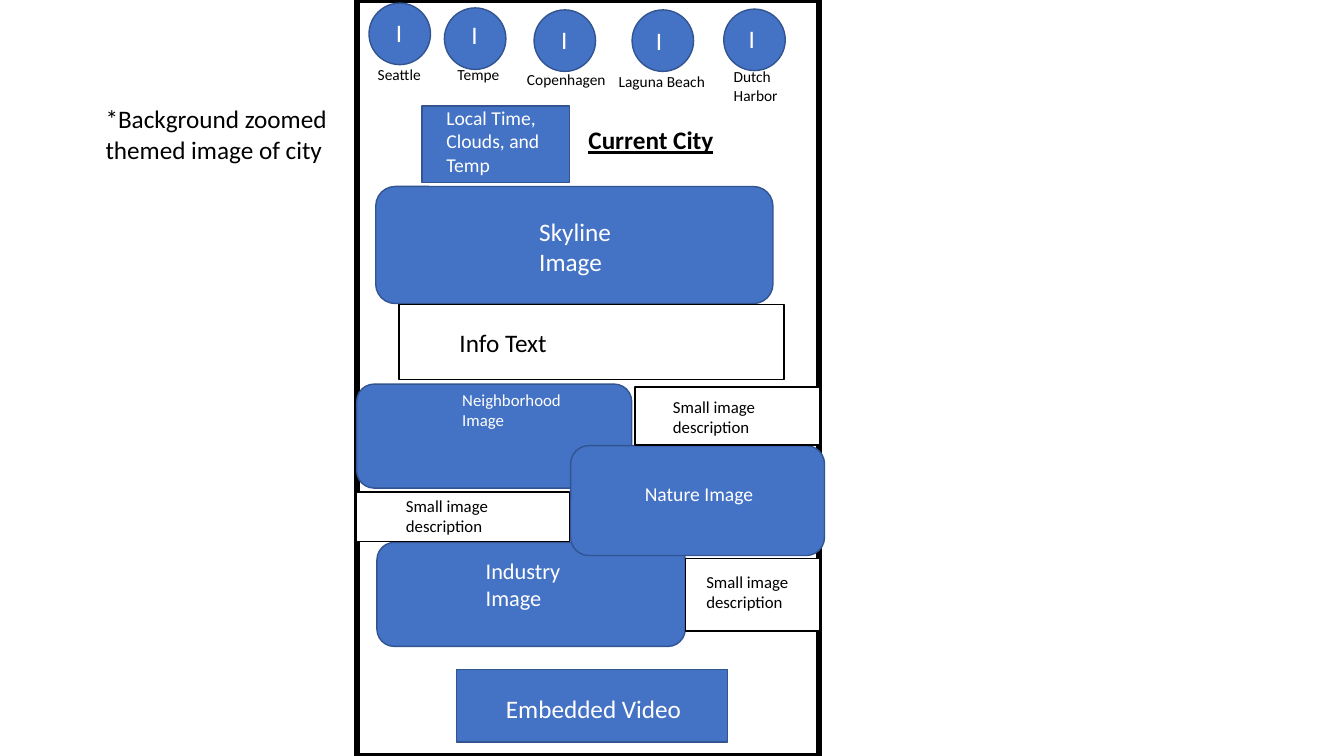
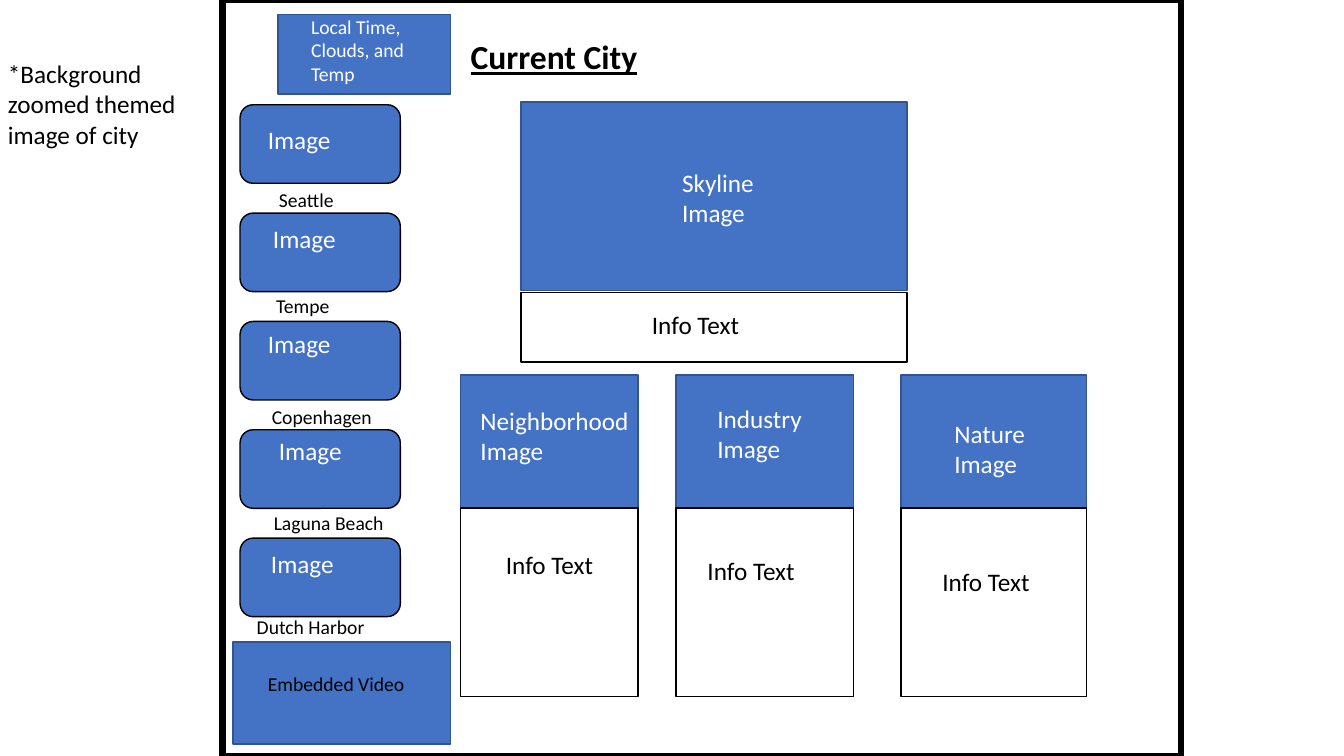
from pptx import Presentation
from pptx.dml.color import RGBColor
from pptx.enum.shapes import MSO_SHAPE
from pptx.enum.text import MSO_AUTO_SIZE
from pptx.util import Cm, Pt

RECT = MSO_SHAPE.RECTANGLE
ROUNDED = MSO_SHAPE.ROUNDED_RECTANGLE
CIRCLE = MSO_SHAPE.OVAL
GROW = MSO_AUTO_SIZE.SHAPE_TO_FIT_TEXT
BLANK_LAYOUT = 6
PAGE_WIDTH, PAGE_HEIGHT = 33.87, 19.05


def color(value):
    return RGBColor.from_string(value)


class Wireframe:
    FONT = "Calibri"
    BLUE, EDGE = "4472C4", "325491"
    BLACK, WHITE = "000000", "FFFFFF"

    def __init__(self):
        self.deck = Presentation()
        self.deck.slide_width = Cm(PAGE_WIDTH)
        self.deck.slide_height = Cm(PAGE_HEIGHT)
        self.page = None

    def add_page(self, frame_left, frame_width):
        self.page = self.deck.slides.add_slide(self.deck.slide_layouts[BLANK_LAYOUT])
        self.shape(RECT, (frame_left, 0, frame_width, PAGE_HEIGHT), self.WHITE, self.BLACK, 4.5)

    def shape(self, kind, place, fill, line, weight=1):
        box = self.page.shapes.add_shape(kind, *map(Cm, place))
        box.shadow.inherit = False
        box.fill.solid()
        box.fill.fore_color.rgb = color(fill)
        box.line.color.rgb = color(line)
        box.line.width = Pt(weight)

    def image(self, place, kind=RECT, line=EDGE):
        self.shape(kind, place, self.BLUE, line)

    def panel(self, place):
        self.shape(RECT, place, self.WHITE, self.BLACK)

    def label(self, text, place, size=18, ink=BLACK, heading=False):
        box = self.page.shapes.add_textbox(*map(Cm, place))
        frame = box.text_frame
        frame.word_wrap = True
        frame.auto_size = GROW
        frame.text = text
        for span in frame.paragraphs[0].runs:
            span.font.name = self.FONT
            span.font.size = Pt(size)
            span.font.color.rgb = color(ink)
            if heading:
                span.font.bold = True
                span.font.underline = True

    def caption(self, text, place, size=18):
        self.label(text, place, size, self.WHITE)

    def header(self, title_place, title_size, note_place, clock_place, clock_text_place):
        self.label("Current City", title_place, title_size, heading=True)
        self.label("*Background zoomed themed image of city", note_place)
        self.image(clock_place)
        self.caption("Local Time, Clouds, and Temp", clock_text_place, 14)


def build_phone(sketch):
    sketch.add_page(8.99, 11.66)
    sketch.header((14.58, 3.02, 4.5, 1.02), 18, (2.41, 2.49, 6.25, 1.8),
                  (10.64, 2.67, 3.71, 1.93), (11, 2.54, 3.15, 2.06))

    diameter = 1.55
    cities = [
        ("Seattle", (9.3, 0.08), (9.73, 0.3), (9.27, 1.52, 1.73, 0.74)),
        ("Tempe", (11.2, 0.2), (11.63, 0.36), (11.28, 1.52, 2.11, 0.74)),
        ("Copenhagen", (13.46, 0.25), (13.89, 0.48), (13.03, 1.63, 2.74, 0.74)),
        ("Laguna Beach", (15.93, 0.25), (16.28, 0.51), (15.34, 1.7, 2.82, 0.74)),
        ("Dutch Harbor", (18.24, 0.23), (18.62, 0.46), (18.24, 1.57, 2.11, 1.19)),
    ]
    for city, corner, icon_corner, name_place in cities:
        sketch.image((*corner, diameter, diameter), CIRCLE)
        sketch.caption("I", (*icon_corner, 1.75, 1.02))
        sketch.label(city, name_place, 11)

    pictures = [
        ("Skyline Image", (9.47, 4.7, 10.01, 2.95), (13.34, 5.33, 2.46, 1.8), 18, ROUNDED),
        ("Industry Image", (9.5, 13.67, 7.77, 2.62), (11.99, 13.92, 3.4, 1.63), 16, ROUNDED),
        ("Neighborhood Image", (8.99, 9.68, 6.93, 2.62), (11.4, 9.7, 3.18, 1.27), 12, ROUNDED),
        ("Embedded Video", (11.51, 16.87, 6.83, 1.83), (12.5, 17.35, 5.18, 1.02), 18, RECT),
        ("Nature Image", (14.38, 11.23, 6.4, 2.77), (16, 12.01, 3.63, 0.86), 14, ROUNDED),
    ]
    for text, place, text_place, size, kind in pictures:
        sketch.image(place, kind)
        sketch.caption(text, text_place, size)

    sketch.panel((10.06, 7.67, 9.7, 1.9))
    sketch.label("Info Text", (11.33, 8.13, 8.46, 1.02))

    descriptions = [
        ((8.99, 12.4, 5.36, 1.24), (9.98, 12.37)),
        ((16, 9.75, 4.65, 1.47), (16.71, 9.88)),
        ((17.27, 14.07, 3.38, 1.83), (17.55, 14.27)),
    ]
    for place, text_corner in descriptions:
        sketch.panel(place)
        sketch.label("Small image description", (*text_corner, 3.02, 1.27), 12)


def build_desktop(sketch):
    sketch.add_page(5.61, 24.16)
    sketch.header((11.61, 0.79, 4.88, 1.27), 24, (-0.05, 1.35, 5.21, 2.57),
                  (7.01, 0.36, 4.34, 2.01), (7.59, 0.25, 3.15, 2.06))

    first_top, pitch = 2.64, 2.73
    cities = [
        ("Seattle", (6.5, 3), (6.78, 4.6, 3.15)),
        ("Tempe", (6.63, 5.51), (6.71, 7.29, 3.15)),
        ("Copenhagen", (6.5, 8.15), (6.6, 10.08, 3.15)),
        ("Laguna Beach", (6.78, 10.85), (6.65, 12.75, 4.22)),
        ("Dutch Harbor", (6.58, 13.69), (6.22, 15.37, 3.81)),
    ]
    for row, (city, image_corner, name_place) in enumerate(cities):
        sketch.image((6.05, first_top + row * pitch, 4.04, 1.98), ROUNDED, sketch.BLACK)
        sketch.caption("Image", (*image_corner, 3.15, 1.02))
        sketch.label(city, (*name_place, 0.86), 14)

    sketch.image((13.13, 2.57, 9.73, 4.75))
    sketch.caption("Skyline Image", (16.94, 4.09, 2.46, 1.8))
    sketch.panel((13.13, 7.37, 9.73, 1.75))
    sketch.label("Info Text", (16.18, 7.67, 7.14, 1.02))

    image_top, image_height, info_height = 9.45, 3.35, 4.75
    columns = [
        ("Neighborhood Image", 11.61, 4.47, (11.86, 10.08, 4.37), (12.5, 13.72)),
        ("Industry Image", 17.04, 4.47, (17.83, 10.03, 3.84), (17.58, 13.87)),
        ("Nature Image", 22.71, 4.67, (23.8, 10.41, 2.46), (23.5, 14.15)),
    ]
    for text, left, width, text_place, info_corner in columns:
        sketch.image((left, image_top, width, image_height))
        sketch.caption(text, (*text_place, 1.8))
        sketch.panel((left, image_top + image_height, width, info_height))
        sketch.label("Info Text", (*info_corner, 7.1, 1.02))

    sketch.image((5.87, 16.18, 5.49, 2.57))
    sketch.label("Embedded Video", (6.5, 16.81, 4.47, 0.86), 14)


sketch = Wireframe()
build_phone(sketch)
build_desktop(sketch)
sketch.deck.save("out.pptx")
